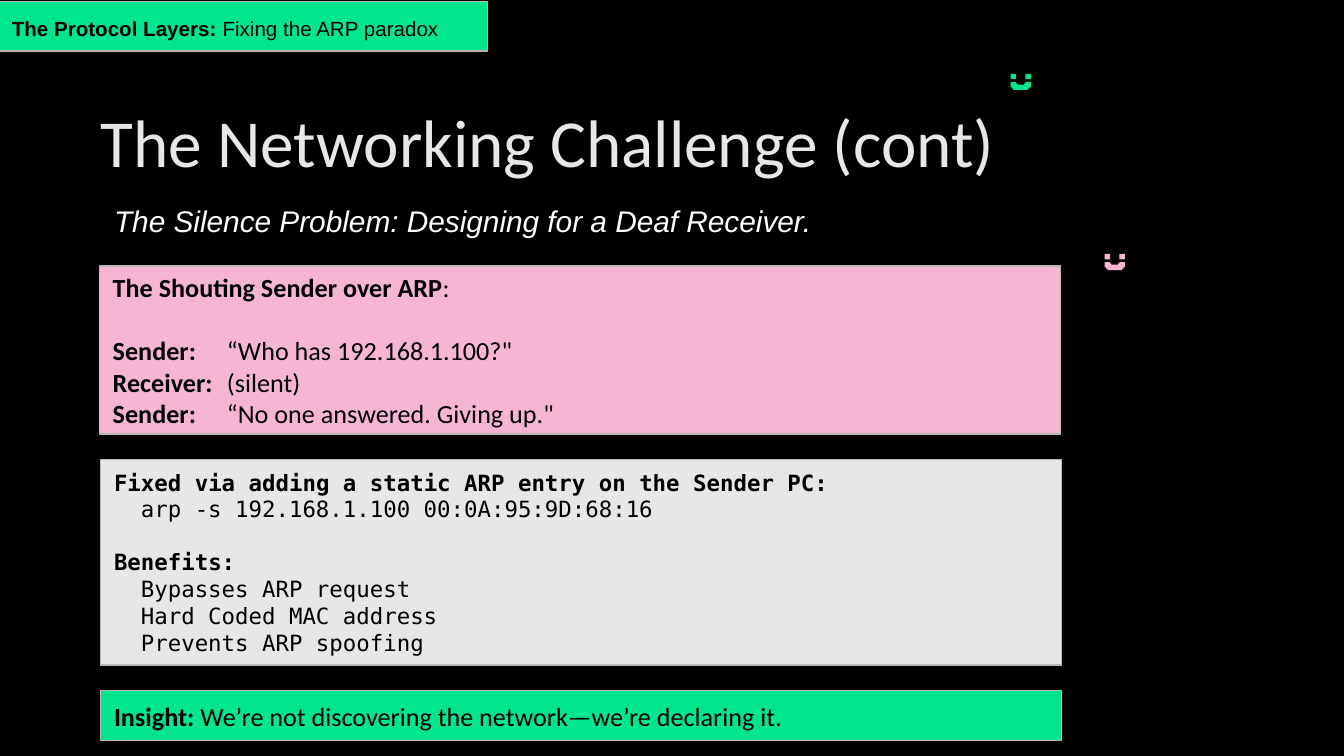
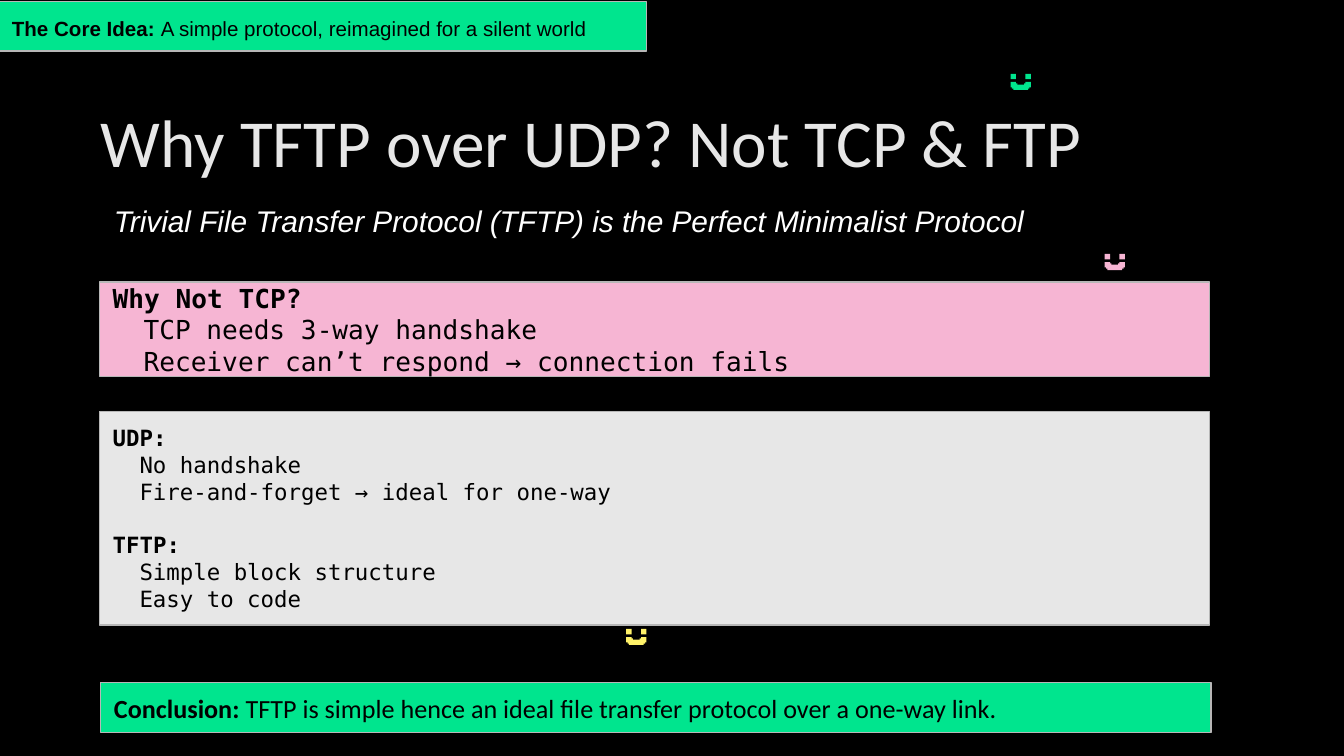
"""Build two slides on one-way networking: the ARP fix and the case for TFTP."""
from dataclasses import dataclass

import pptx
import pptx.dml.color
import pptx.enum.shapes
import pptx.enum.text
import pptx.oxml.ns
import pptx.util
from lxml import etree
from pptx.util import Inches, Pt


@dataclass(frozen=True)
class Theme:
    """Colours and text styles shared by the slides."""
    black: str = "000000"
    white: str = "FFFFFF"
    grey: str = "E7E7E7"
    border: str = "B7B7B7"
    green: str = "00E58E"
    pink: str = "F6B5D3"
    yellow: str = "FFF269"
    title = {"name": "Calibri", "size": Pt(36)}
    subtitle = {"name": "Arial", "size": Pt(16), "italic": True}
    banner = {"name": "Arial", "size": Pt(11)}
    speech = {"name": "Calibri", "size": Pt(14)}
    code = {"name": "DejaVu Sans Mono", "size": Pt(12)}
    large_code = {"name": "DejaVu Sans Mono", "size": Pt(14)}


THEME = Theme()
SLIDE_WIDTH = Inches(10)
SLIDE_HEIGHT = SLIDE_WIDTH * 9 // 16
LEFT = 0.75
BAR_HEIGHT = 0.37
BANNER_SPACING = {"line_spacing": 1.15, "space_before": Pt(10), "space_after": Pt(12)}
SPEECH_GAP = {"space_before": Pt(17)}
CODE_GAP = {"space_before": Pt(14)}
SMILEY_PIXELS = [(0, 0, 0.04), (0.11, 0, 0.04), (0, 0.06, 0.04), (0.01, 0.07, 0.04),
                 (0.02, 0.08, 0.11), (0.1, 0.07, 0.04), (0.11, 0.06, 0.04)]
PIXEL_HEIGHT = 0.04


def rgb(colour):
    """Turn a hex string into a colour value."""
    return pptx.dml.color.RGBColor.from_string(colour)


def apply(target, values):
    """Set each named attribute on the target."""
    for name, value in values.items():
        setattr(target, name, value)


def line(bold="", plain="", indent=0, tab=0, spacing=None):
    """Describe one paragraph: a bold lead, plain text and its layout."""
    return {"runs": [(bold, True), (plain, False)], "indent": indent, "tab": tab,
            "spacing": spacing or {}}


def add_tab_stop(properties, position):
    """Add a left tab stop to paragraph properties."""
    stops = etree.SubElement(properties, pptx.oxml.ns.qn("a:tabLst"))
    etree.SubElement(stops, pptx.oxml.ns.qn("a:tab"), pos=str(Inches(position)), algn="l")


def write_lines(frame, lines, style, colour, margin=0.1, anchor="TOP"):
    """Fill a text frame with left-aligned paragraphs."""
    inset = Inches(margin)
    apply(frame, {"word_wrap": True, "margin_left": inset, "margin_right": inset,
                  "margin_top": inset, "margin_bottom": inset,
                  "vertical_anchor": getattr(pptx.enum.text.MSO_ANCHOR, anchor)})
    for number, content in enumerate(lines):
        paragraph = frame.add_paragraph() if number else frame.paragraphs[0]
        apply(paragraph, {"alignment": pptx.enum.text.PP_ALIGN.LEFT, **content["spacing"]})
        properties = paragraph._p.get_or_add_pPr()
        if content["indent"]:
            properties.set("marL", str(Inches(content["indent"])))
        if content["tab"]:
            add_tab_stop(properties, content["tab"])
        for text, bold in content["runs"]:
            if text:
                run = paragraph.add_run()
                run.text = text
                apply(run.font, {"bold": bold, **style})
                run.font.color.rgb = rgb(colour)


def add_rectangle(shapes, box, fill):
    """Add a flat, unoutlined rectangle."""
    rectangle = shapes.add_shape(pptx.enum.shapes.MSO_SHAPE.RECTANGLE, *map(Inches, box))
    rectangle.shadow.inherit = False
    rectangle.fill.solid()
    rectangle.fill.fore_color.rgb = rgb(fill)
    rectangle.line.fill.background()
    return rectangle


def add_panel(slide, box, fill, lines, style):
    """Add a bordered panel of text."""
    panel = add_rectangle(slide.shapes, box, fill)
    panel.line.color.rgb = rgb(THEME.border)
    panel.line.width = Pt(0.75)
    write_lines(panel.text_frame, lines, style, THEME.black, anchor="MIDDLE")


def add_smiley(slide, left, top, colour):
    """Add a small pixel smile."""
    smiley = slide.shapes.add_group_shape()
    for across, down, width in SMILEY_PIXELS:
        add_rectangle(smiley.shapes, (left + across, top + down, width, PIXEL_HEIGHT), colour)


def add_heading(slide, box, text, style, colour, margin, spacing=None):
    """Add a line of heading text."""
    heading = slide.shapes.add_textbox(*map(Inches, box))
    write_lines(heading.text_frame, [line(plain=text, spacing=spacing)], style, colour, margin)


def start_slide(deck, title, subtitle, subtitle_width, banner, banner_width):
    """Add a slide with background, smileys, headings and top banner."""
    slide = deck.slides.add_slide(deck.slide_layouts[6])
    slide.background.fill.solid()
    slide.background.fill.fore_color.rgb = rgb(THEME.black)
    add_smiley(slide, 7.52, 0.55, THEME.green)
    add_smiley(slide, 8.22, 1.89, THEME.pink)
    add_heading(slide, (LEFT, 0.86, 8.5, 0.7), title, THEME.title, THEME.grey, 0,
                {"line_spacing": 0.8})
    add_heading(slide, (LEFT, 1.41, subtitle_width, BAR_HEIGHT), subtitle, THEME.subtitle,
                THEME.white, 0.1)
    add_panel(slide, (-0.01, 0.01, banner_width, BAR_HEIGHT), THEME.green,
              [line(*banner, spacing=BANNER_SPACING)], THEME.banner)
    return slide


def build_arp_slide(deck):
    """Show the silent receiver and the static ARP entry."""
    slide = start_slide(deck, "The Networking Challenge (cont)",
                        "The Silence Problem: Designing for a Deaf Receiver.", 6.01,
                        ("The Protocol Layers:", " Fixing the ARP paradox"), 3.64)
    width, tab, indent = 7.15, 0.85, 0.2
    add_panel(slide, (LEFT, 3.42, width, 1.53), THEME.grey, [
        line("Fixed via adding a static ARP entry on the Sender PC:"),
        line(plain="arp -s 192.168.1.100 00:0A:95:9D:68:16", indent=indent),
        line("Benefits:", spacing=CODE_GAP),
        line(plain="Bypasses ARP request", indent=indent),
        line(plain="Hard Coded MAC address", indent=indent),
        line(plain="Prevents ARP spoofing", indent=indent),
    ], THEME.code)
    add_panel(slide, (LEFT, 5.14, width, BAR_HEIGHT), THEME.green, [
        line("Insight: ", "We’re not discovering the network—we’re declaring it."),
    ], THEME.speech)
    add_panel(slide, (0.74, 1.98, width, 1.25), THEME.pink, [
        line("The Shouting Sender over ARP", ":"),
        line("Sender:", "\t“Who has 192.168.1.100?\"", tab=tab, spacing=SPEECH_GAP),
        line("Receiver:", "\t(silent)", tab=tab),
        line("Sender:", "\t“No one answered. Giving up.\"", tab=tab),
    ], THEME.speech)


def build_tftp_slide(deck):
    """Explain the choice of TFTP over UDP."""
    width, indent, large_indent = 8.26, 0.2, 0.23
    slide = start_slide(deck, "Why TFTP over UDP? Not TCP & FTP",
                        "Trivial File Transfer Protocol (TFTP) is the Perfect Minimalist Protocol",
                        width,
                        ("The Core Idea: ", "A simple protocol, reimagined for a silent world"),
                        4.82)
    add_smiley(slide, 4.66, 4.68, THEME.yellow)
    add_panel(slide, (0.74, 3.06, width, 1.59), THEME.grey, [
        line("UDP:"),
        line(plain="No handshake", indent=indent),
        line(plain="Fire-and-forget → ideal for one-way", indent=indent),
        line("TFTP:", spacing=CODE_GAP),
        line(plain="Simple block structure", indent=indent),
        line(plain="Easy to code", indent=indent),
    ], THEME.code)
    add_panel(slide, (LEFT, 5.08, width, BAR_HEIGHT), THEME.green, [
        line("Conclusion: ",
             "TFTP is simple hence an ideal file transfer protocol over a one-way link."),
    ], THEME.speech)
    add_panel(slide, (0.74, 2.1, width, 0.7), THEME.pink, [
        line("Why Not TCP?"),
        line(plain="TCP needs 3-way handshake", indent=large_indent),
        line(plain="Receiver can’t respond → connection fails", indent=large_indent),
    ], THEME.large_code)


def main():
    """Build and save the deck."""
    deck = pptx.Presentation()
    apply(deck, {"slide_width": SLIDE_WIDTH, "slide_height": SLIDE_HEIGHT})
    build_arp_slide(deck)
    build_tftp_slide(deck)
    deck.save("out.pptx")


if __name__ == "__main__":
    main()
